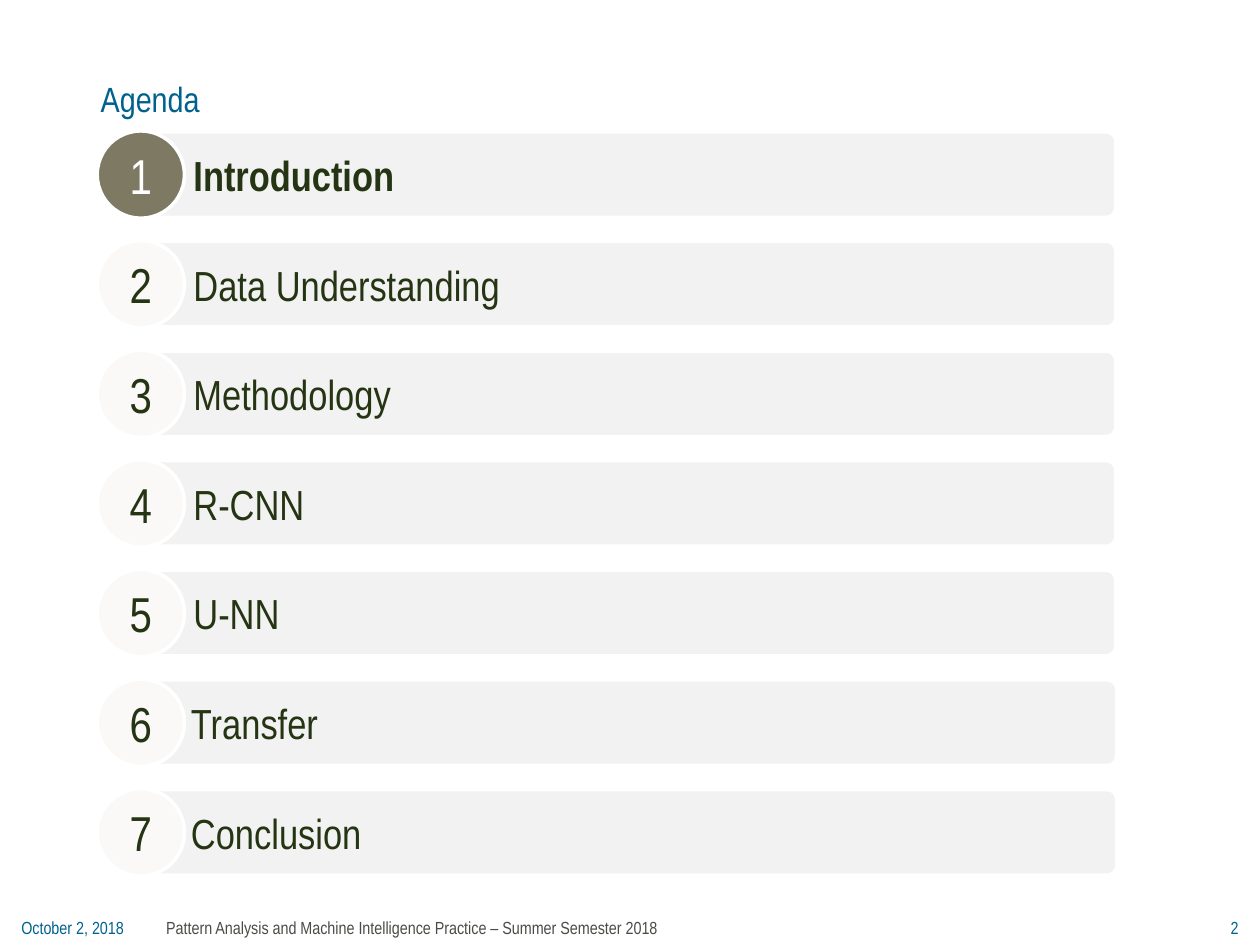
from dataclasses import dataclass

from pptx import Presentation
from pptx.dml.color import RGBColor
from pptx.enum.shapes import MSO_SHAPE
from pptx.enum.text import MSO_ANCHOR, PP_ALIGN
from pptx.shapes.autoshape import Shape
from pptx.slide import Slide
from pptx.util import Cm, Pt


@dataclass(frozen=True)
class Theme:
    font: str = "Arial Narrow"
    accent: str = "00618F"
    footer: str = "4D4B46"
    ink: str = "253412"
    white: str = "FFFFFF"
    bar: str = "F2F2F2"
    badge: str = "FAF9F8"
    active_badge: str = "7D7963"
    footer_size: int = 10
    title_size: int = 20
    topic_size: int = 24
    number_size: int = 28


@dataclass(frozen=True)
class Box:
    left: float
    top: float
    width: float
    height: float

    def lengths(self) -> tuple[Cm, Cm, Cm, Cm]:
        return Cm(self.left), Cm(self.top), Cm(self.width), Cm(self.height)


@dataclass(frozen=True)
class Topic:
    name: str
    active: bool = False
    left: float = 2.44
    width: float = 20.07


THEME = Theme()
FIRST_TOP = 2.64
PITCH = 2.21
BADGE_LEFT = 1.96
BADGE_SIZE = 1.76
TOPICS = [
    Topic("Introduction", active=True),
    Topic("Data Understanding"),
    Topic("Methodology"),
    Topic("R-CNN"),
    Topic("U-NN"),
    Topic("Transfer", left=2.39, width=20.14),
    Topic("Conclusion", left=2.39, width=20.14),
]


def write(holder: Shape, text: str, *, size: int, color: str, bold: bool = False,
          align: PP_ALIGN = PP_ALIGN.LEFT, anchor: MSO_ANCHOR = MSO_ANCHOR.TOP,
          insets: tuple[float, float, float, float] = (0, 0, 0, 0),
          wrap: bool = True) -> None:
    frame = holder.text_frame
    frame.word_wrap = wrap
    frame.vertical_anchor = anchor
    (frame.margin_left, frame.margin_top,
     frame.margin_right, frame.margin_bottom) = map(Cm, insets)
    paragraph = frame.paragraphs[0]
    paragraph.alignment = align
    run = paragraph.add_run()
    run.text = text
    run.font.name = THEME.font
    run.font.size = Pt(size)
    run.font.bold = bold
    run.font.color.rgb = RGBColor.from_string(color)


def add_panel(slide: Slide, kind: MSO_SHAPE, box: Box, fill: str, border: float) -> Shape:
    panel = slide.shapes.add_shape(kind, *box.lengths())
    panel.shadow.inherit = False
    panel.fill.solid()
    panel.fill.fore_color.rgb = RGBColor.from_string(fill)
    panel.line.color.rgb = RGBColor.from_string(THEME.white)
    panel.line.width = Pt(border)
    return panel


def add_topic(slide: Slide, index: int, topic: Topic) -> None:
    top = FIRST_TOP + index * PITCH
    bar = add_panel(slide, MSO_SHAPE.ROUNDED_RECTANGLE,
                    Box(topic.left, top, topic.width, BADGE_SIZE), THEME.bar, 3)
    bar.adjustments[0] = 0.12
    write(bar, topic.name, size=THEME.topic_size, color=THEME.ink, bold=topic.active,
          anchor=MSO_ANCHOR.MIDDLE, insets=(1.4, 0, 0, 0))
    badge = add_panel(slide, MSO_SHAPE.OVAL, Box(BADGE_LEFT, top, BADGE_SIZE, BADGE_SIZE),
                      THEME.active_badge if topic.active else THEME.badge, 2)
    write(badge, str(index + 1), size=THEME.number_size,
          color=THEME.white if topic.active else THEME.ink,
          align=PP_ALIGN.CENTER, anchor=MSO_ANCHOR.MIDDLE,
          insets=(0.25, 0.13, 0.25, 0.13))


def add_label(slide: Slide, text: str, box: Box, **style) -> None:
    write(slide.shapes.add_textbox(*box.lengths()), text, **style)


def build() -> None:
    deck = Presentation()
    deck.slide_width, deck.slide_height = Cm(25.4), Cm(19.05)
    slide = deck.slides.add_slide(deck.slide_layouts[6])
    add_label(slide, "October 2, 2018", Box(0.43, 18.49, 2.08, 0.43),
              size=THEME.footer_size, color=THEME.accent, wrap=False)
    add_label(slide, "2", Box(24, 18.49, 0.97, 0.51), size=THEME.footer_size,
              color=THEME.accent, align=PP_ALIGN.RIGHT, wrap=False)
    add_label(slide, "Pattern Analysis and Machine Intelligence Practice – Summer Semester 2018",
              Box(3.1, 18.49, 19.61, 0.46), size=THEME.footer_size,
              color=THEME.footer, insets=(0.25, 0, 0.25, 0.13))
    for index, topic in enumerate(TOPICS):
        add_topic(slide, index, topic)
    add_label(slide, "Agenda", Box(1.78, 0.33, 18.34, 2.21), size=THEME.title_size,
              color=THEME.accent, anchor=MSO_ANCHOR.BOTTOM,
              insets=(0.25, 0.13, 0.25, 0.13))
    deck.save("out.pptx")


build()
